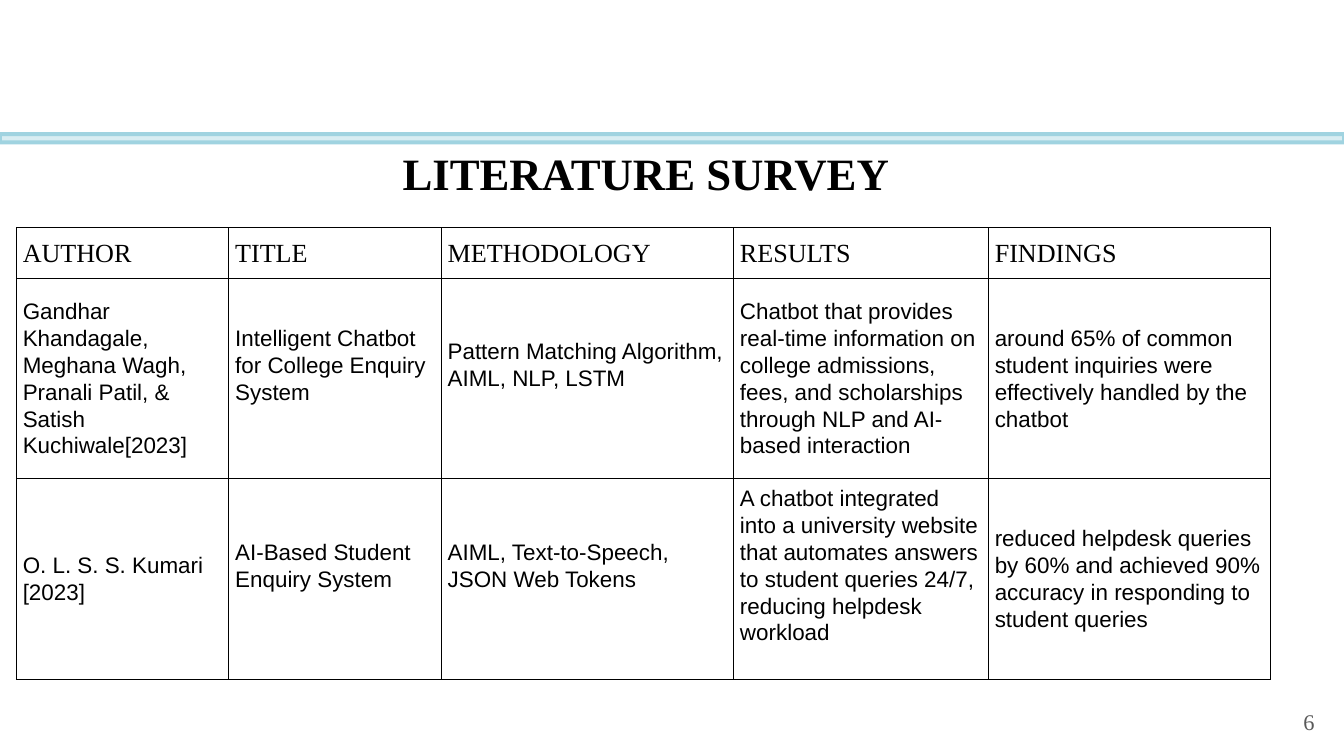
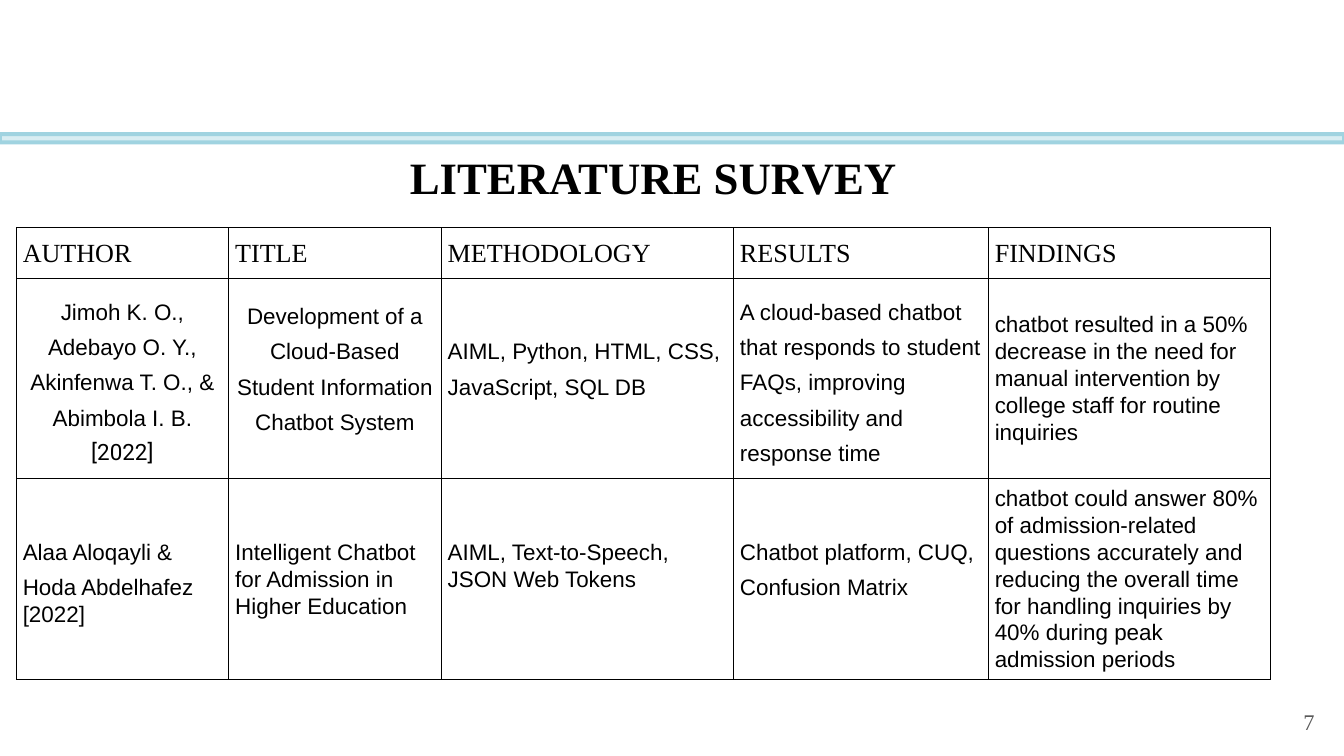
from dataclasses import dataclass

from lxml.etree import SubElement
from pptx import Presentation
from pptx.dml.color import RGBColor
from pptx.enum.shapes import MSO_SHAPE as Preset
from pptx.enum.text import MSO_ANCHOR as Anchor, PP_ALIGN as Align
from pptx.oxml.ns import qn
from pptx.util import Cm, Pt

BLACK = RGBColor(0, 0, 0)
GREY = RGBColor(0x59, 0x59, 0x59)
TEAL = RGBColor(0x60, 0xB5, 0xCC)
PALE_TEAL = RGBColor(0xA0, 0xD3, 0xE0)

SERIF, SANS, ROBOTO = "Times New Roman", "Arial", "Roboto"
TIGHT, LOOSE = 28.8, 37.8
INSET = Cm(0.25)
LIFTED_INSET = Cm(1.27)

HEADINGS = ("AUTHOR", "TITLE", "METHODOLOGY", "RESULTS", "FINDINGS")
COLUMN_WIDTHS = (8.03, 8.03, 11.05, 9.63, 10.67)
ROW_HEIGHTS = (1.93, 7.54, 7.54)
NO_INSETS = dict.fromkeys(("margin_left", "margin_top", "margin_right", "margin_bottom"), 0)


@dataclass
class Line:
    """One paragraph of a survey entry."""
    text: str
    spacing: float = TIGHT
    align: Align = Align.LEFT
    font: str = SANS
    size: int = 24


@dataclass
class Entry:
    """One survey cell; a lifted entry sits above the middle of its row."""
    lines: list
    lifted: bool = False


def entry(text, lifted=False, **style):
    """Make an entry of a single paragraph."""
    return Entry([Line(text, **style)], lifted)


SURVEYS = (
    (6, (5.99, 2.17), (
        (
            entry("Gandhar Khandagale, Meghana Wagh, Pranali Patil, & Satish Kuchiwale[2023]"),
            entry("Intelligent Chatbot for College Enquiry System", True),
            entry("Pattern Matching Algorithm, AIML, NLP, LSTM", True),
            entry("Chatbot that provides real-time information on college admissions, fees, "
                  "and scholarships through NLP and AI-based interaction"),
            entry("around 65% of common student inquiries were effectively handled by the chatbot"),
        ),
        (
            Entry([Line("O. L. S. S. Kumari"), Line("[2023]")]),
            entry("AI-Based Student Enquiry System", True),
            entry("AIML, Text-to-Speech, JSON Web Tokens", True),
            entry("A chatbot integrated into a university website that automates answers "
                  "to student queries 24/7, reducing helpdesk workload", True),
            entry("reduced helpdesk queries by 60% and achieved 90% accuracy in responding "
                  "to student queries"),
        ),
    )),
    (7, (6.1, 2.23), (
        (
            Entry([Line("Jimoh K. O., Adebayo O. Y., Akinfenwa T. O., & Abimbola I. B.",
                        LOOSE, Align.CENTER),
                   Line("[2022]", LOOSE, Align.CENTER, ROBOTO)]),
            entry("Development of a Cloud-Based Student Information Chatbot System", True,
                  spacing=LOOSE, align=Align.CENTER),
            entry("AIML, Python, HTML, CSS, JavaScript, SQL DB", True, spacing=LOOSE),
            entry("A cloud-based chatbot that responds to student FAQs, improving "
                  "accessibility and response time", spacing=LOOSE),
            entry("chatbot resulted in a 50% decrease in the need for manual intervention "
                  "by college staff for routine inquiries"),
        ),
        (
            Entry([Line("Alaa Aloqayli & Hoda Abdelhafez", LOOSE), Line("[2022]")]),
            entry("Intelligent Chatbot for Admission in Higher Education"),
            entry("AIML, Text-to-Speech, JSON Web Tokens", True),
            entry("Chatbot platform, CUQ, Confusion Matrix", True, spacing=LOOSE),
            entry("chatbot could answer 80% of admission-related questions accurately and "
                  "reducing the overall time for handling inquiries by 40% during peak "
                  "admission periods"),
        ),
    )),
)


def set_values(target, values):
    """Set each attribute named in a dict of format values."""
    for name, value in values.items():
        setattr(target, name, value)


def write(paragraph, text, align=Align.LEFT, spacing=None, color=BLACK, **font):
    """Write one formatted run into a paragraph."""
    paragraph.alignment = align
    if spacing:
        paragraph.line_spacing = Pt(spacing)
    run = paragraph.add_run()
    run.text = text
    set_values(run.font, font)
    run.font.color.rgb = color


def add_strip(slide, preset, box, color):
    """Add a plain filled shape without outline or shadow."""
    strip = slide.shapes.add_shape(preset, *map(Cm, box))
    strip.shadow.inherit = False
    strip.fill.solid()
    strip.fill.fore_color.rgb = color
    strip.line.fill.background()
    return strip


def add_band(slide):
    """Add the translucent band and its frame across the slide."""
    band = add_strip(slide, Preset.RECTANGLE, (0, 5.08, 50.8, 0.3), TEAL)
    tint = band.fill._xPr.find(qn("a:solidFill"))[0]
    SubElement(tint, qn("a:alpha"), val="24000")
    frame = add_strip(slide, Preset.FRAME, (-0.08, 5, 50.96, 0.46), PALE_TEAL)
    frame.adjustments[0] = 0.33


def add_label(slide, box, text, frame_values, **style):
    """Add a wrapped text box holding one line."""
    label = slide.shapes.add_textbox(*map(Cm, box)).text_frame
    set_values(label, {"word_wrap": True, **frame_values})
    write(label.paragraphs[0], text, **style)


def add_borders(cell):
    """Draw thin black borders on the four sides of a cell."""
    properties = cell._tc.get_or_add_tcPr()
    for position, side in enumerate(("a:lnL", "a:lnR", "a:lnT", "a:lnB")):
        border = properties.makeelement(qn(side), {"w": str(Pt(0.37))})
        properties.insert(position, border)
        fill = SubElement(border, qn("a:solidFill"))
        SubElement(fill, qn("a:srgbClr"), val=str(BLACK))


def fill_cell(cell, content):
    """Format a cell and write its paragraphs."""
    cell.fill.background()
    add_borders(cell)
    set_values(cell, {
        "vertical_anchor": Anchor.MIDDLE,
        "margin_left": INSET,
        "margin_right": INSET,
        "margin_top": INSET,
        "margin_bottom": LIFTED_INSET if content.lifted else INSET,
    })
    text = cell.text_frame
    for number, line in enumerate(content.lines):
        paragraph = text.add_paragraph() if number else text.paragraphs[0]
        write(paragraph, line.text, line.align, line.spacing,
              name=line.font, size=Pt(line.size))


def add_survey(slide, studies):
    """Add the survey table with its headings and studies."""
    headings = [entry(h, spacing=33.6, font=SERIF, size=28) for h in HEADINGS]
    rows = (headings, *studies)
    survey = slide.shapes.add_table(
        len(rows), len(HEADINGS), Cm(0.61), Cm(8.59),
        Cm(sum(COLUMN_WIDTHS)), Cm(sum(ROW_HEIGHTS))).table
    set_values(survey, {"first_row": False, "horz_banding": False})
    for column, width in zip(survey.columns, COLUMN_WIDTHS):
        column.width = Cm(width)
    for row, height, contents in zip(survey.rows, ROW_HEIGHTS, rows):
        row.height = Cm(height)
        for cell, content in zip(row.cells, contents):
            fill_cell(cell, content)


def main():
    """Build the literature survey slides."""
    deck = Presentation()
    set_values(deck, {"slide_width": Cm(50.8), "slide_height": Cm(28.58)})
    for page, (left, top), studies in SURVEYS:
        slide = deck.slides.add_slide(deck.slide_layouts[6])
        add_band(slide)
        add_survey(slide, studies)
        add_label(slide, (left * 2.54, top * 2.54, 25.45, 2.77), "LITERATURE SURVEY",
                  NO_INSETS, spacing=57.6, name=SERIF, size=Pt(48), bold=True)
        add_label(slide, (44.02, 26.77, 5.92, 1.02), str(page),
                  {"vertical_anchor": Anchor.MIDDLE}, align=Align.RIGHT,
                  color=GREY, name=SERIF, size=Pt(24))
    deck.save("out.pptx")


if __name__ == "__main__":
    main()
